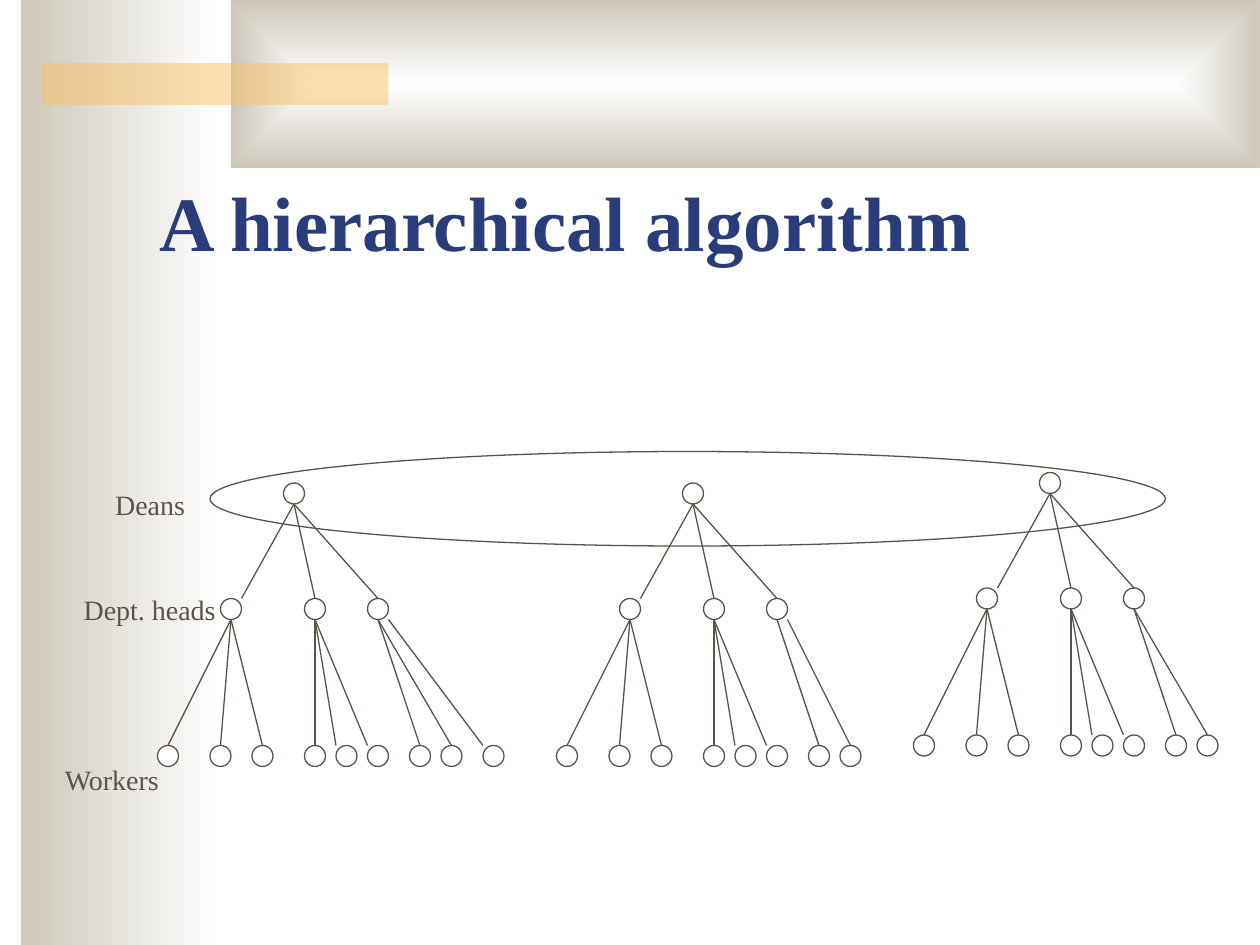
from collections import namedtuple
from dataclasses import dataclass

from lxml.etree import SubElement
from pptx import Presentation
from pptx.dml.color import RGBColor
from pptx.enum.shapes import MSO_CONNECTOR, MSO_SHAPE
from pptx.enum.text import MSO_ANCHOR, MSO_AUTO_SIZE, PP_ALIGN
from pptx.oxml.ns import qn
from pptx.util import Emu, Pt

PX = 7620  # EMU per px: 120 px to the inch


@dataclass(frozen=True)
class Theme:
    font: str = "Times New Roman"
    title_size: int = 44
    label_size: int = 16
    line_width: float = 0.75
    title: RGBColor = RGBColor(0x2A, 0x3D, 0x7A)
    ink: RGBColor = RGBColor(0x5B, 0x52, 0x49)
    paper: RGBColor = RGBColor(0xFF, 0xFF, 0xFF)
    stone: RGBColor = RGBColor(0xCE, 0xC8, 0xBA)
    accent: RGBColor = RGBColor(0xFA, 0xC1, 0x64)


THEME = Theme()
Box = namedtuple("Box", "left top width height")

NODE = 20
HALF = NODE // 2
DEAN_X = 120
HEAD_Y, WORKER_Y = 110, 250
HEADS = (60, 140, 200)
# Per head: (worker left, link start, link end); starts and ends are offsets
# from the middle of the head's foot and of the worker's top.
FIRST_TEAM = ((0, 0, 0), (50, 0, 0), (90, 0, 0))
SECOND_TEAM = ((140, 0, 0), (170, 0, -HALF), (200, 0, -HALF))
TREES = (
    (Box(150, 460, 330, 270), ((240, 0, 0), (270, 0, 0), (310, HALF, -HALF))),
    (Box(530, 460, 290, 270), ((240, 0, 0), (270, HALF, 0))),
    (Box(870, 450, 290, 270), ((240, 0, 0), (270, 0, 0))),
)
LABELS = (
    ("Deans", Box(98, 458, 94, 44)),
    ("Dept. heads", Box(68, 558, 154, 44)),
    ("Workers", Box(50, 720, 117, 44)),
)


def to_emu(*lengths):
    return [Emu(length * PX) for length in lengths]


def add_plain_shape(slide, kind, box):
    shape = slide.shapes.add_shape(kind, *to_emu(*box))
    shape.shadow.inherit = False
    shape.line.fill.background()
    return shape


def add_outline(slide, kind, box):
    shape = add_plain_shape(slide, kind, box)
    shape.fill.solid()
    shape.fill.fore_color.rgb = THEME.paper
    shape.line.color.rgb = THEME.ink
    shape.line.width = Pt(THEME.line_width)


def add_gradient_panel(slide, box):
    """Add a panel that fades leftwards from paper to stone."""
    panel = add_plain_shape(slide, MSO_SHAPE.RECTANGLE, box)
    panel.fill.gradient()
    panel.fill.gradient_angle = 180
    for stop, color in zip(panel.fill.gradient_stops, (THEME.paper, THEME.stone)):
        stop.color.rgb = color
    return panel


def fade_from_centre(panel):
    gradient = panel._element.spPr.find(qn("a:gradFill"))
    gradient.remove(gradient.find(qn("a:lin")))
    shading = SubElement(gradient, qn("a:path"), {"path": "rect"})
    SubElement(shading, qn("a:fillToRect"), dict.fromkeys("ltrb", "50000"))


def add_backdrop(slide, box):
    left, top, width, height = box
    add_gradient_panel(slide, Box(left + 20, top, 190, height))
    fade_from_centre(add_gradient_panel(slide, Box(left + 220, top, width - 220, 160)))
    bar = add_plain_shape(slide, MSO_SHAPE.RECTANGLE, Box(left + 40, top + 60, 330, 40))
    bar.fill.solid()
    bar.fill.fore_color.rgb = THEME.accent
    color = bar._element.spPr.find(qn("a:solidFill"))[0]
    SubElement(color, qn("a:alpha"), val="50000")


def style_text(frame, text, size, color, bold=False):
    frame.text = text
    paragraph = frame.paragraphs[0]
    paragraph.alignment = PP_ALIGN.LEFT
    font = paragraph.font
    font.name, font.size, font.bold = THEME.font, Pt(size), bold
    font.color.rgb = color


def place_title(slide, text, box):
    title = slide.shapes.title
    title.left, title.top, title.width, title.height = to_emu(*box)
    frame = title.text_frame
    frame.vertical_anchor = MSO_ANCHOR.BOTTOM
    frame.auto_size = MSO_AUTO_SIZE.NONE
    style_text(frame, text, THEME.title_size, THEME.title, bold=True)
    slide.shapes._spTree.append(title._element)  # bring in front of the backdrop


def add_label(slide, text, box):
    frame = slide.shapes.add_textbox(*to_emu(*box)).text_frame
    frame.word_wrap = False
    frame.auto_size = MSO_AUTO_SIZE.SHAPE_TO_FIT_TEXT
    style_text(frame, text, THEME.label_size, THEME.ink)


def add_link(slide, start, end):
    link = slide.shapes.add_connector(MSO_CONNECTOR.STRAIGHT, *to_emu(*start, *end))
    link.line.color.rgb = THEME.ink
    link.line.width = Pt(THEME.line_width)
    SubElement(link._element.spPr, qn("a:effectLst"))


def add_tree(slide, box, last_team):
    """Add one dean with three department heads and their workers."""

    def add_node(x, y):
        node = Box(box.left + x, box.top + y, NODE, NODE)
        add_outline(slide, MSO_SHAPE.FLOWCHART_CONNECTOR, node)

    def link_nodes(upper, lower, start_shift=0, end_shift=0):
        start = (box.left + upper[0] + HALF + start_shift, box.top + upper[1] + NODE)
        end = (box.left + lower[0] + HALF + end_shift, box.top + lower[1])
        add_link(slide, start, end)

    dean = (DEAN_X, 0)
    add_node(*dean)
    for head_x, team in zip(HEADS, (FIRST_TEAM, SECOND_TEAM, last_team)):
        head = (head_x, HEAD_Y)
        add_node(*head)
        link_nodes(dean, head, end_shift=HALF if head_x == HEADS[0] else 0)
        for worker_x, start_shift, end_shift in team:
            worker = (worker_x, WORKER_Y)
            add_node(*worker)
            link_nodes(head, worker, start_shift, end_shift)


def main():
    presentation = Presentation()
    page = Box(0, 0, 1200, 900)
    presentation.slide_width, presentation.slide_height = to_emu(page.width, page.height)
    slide = presentation.slides.add_slide(presentation.slide_layouts[5])
    add_backdrop(slide, page)
    add_outline(slide, MSO_SHAPE.OVAL, Box(200, 430, 910, 90))
    place_title(slide, "A hierarchical algorithm", Box(140, 110, 1020, 150))
    for box, last_team in TREES:
        add_tree(slide, box, last_team)
    for text, box in LABELS:
        add_label(slide, text, box)
    presentation.save("out.pptx")


if __name__ == "__main__":
    main()
